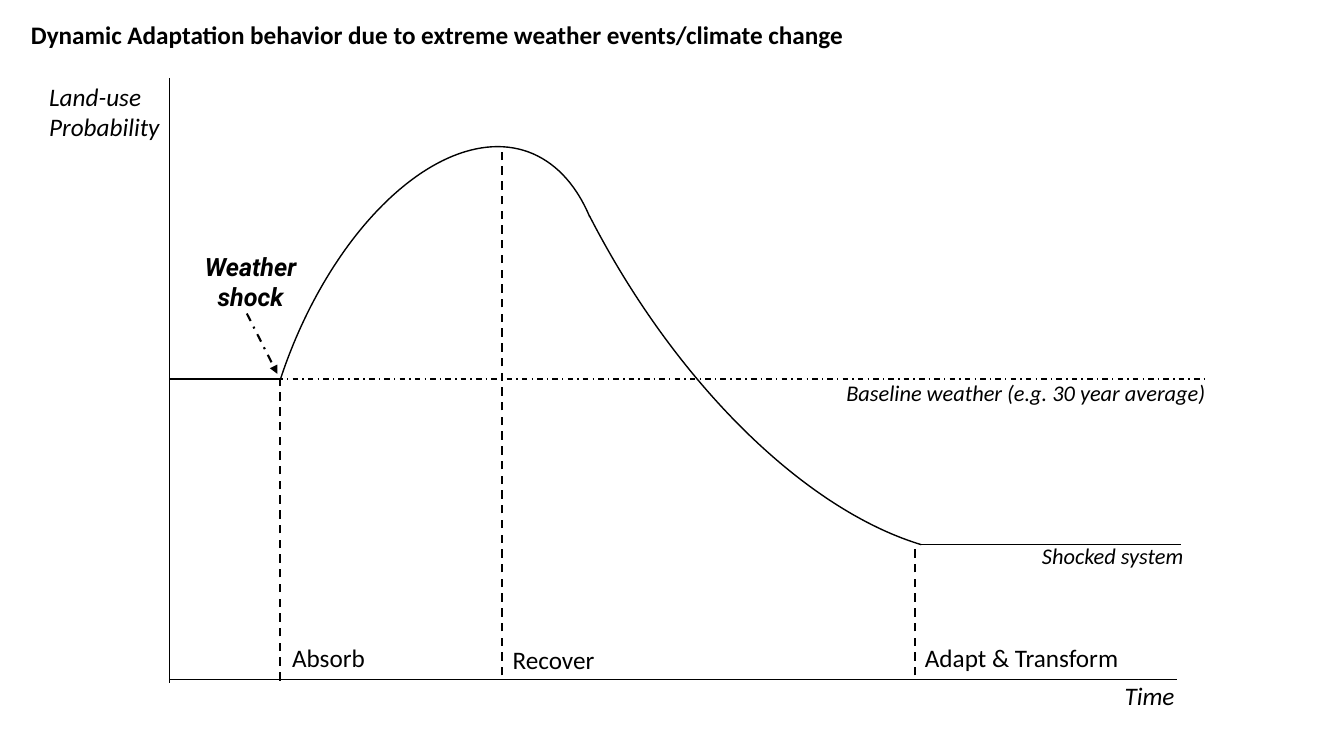
"""Build a slide charting adaptation behaviour after a weather shock."""
import pptx
import pptx.dml.color
import pptx.enum.dml
import pptx.enum.shapes
import pptx.enum.text
import pptx.oxml
import pptx.oxml.ns
import pptx.util

Cm = pptx.util.Cm
Pt = pptx.util.Pt
DASH = pptx.enum.dml.MSO_LINE.DASH
DASH_DOT = pptx.enum.dml.MSO_LINE.DASH_DOT
COLORS = {"ink": "000000", "background": "FFFFFF"}
INK = pptx.dml.color.RGBColor.from_string(COLORS["ink"])

AXIS_X = 4.27
AXIS_Y = 17.12
BASELINE_Y = 9.55
SHOCKED_Y = 13.72
SHOCK_X = 7.06
PEAK_X = 12.65
ADAPT_X = 23.06

presentation = pptx.Presentation()
presentation.slide_width = Cm(33.87)
presentation.slide_height = Cm(19.05)
slide = presentation.slides.add_slide(presentation.slide_layouts[6])
slide.background.fill.solid()
slide.background.fill.fore_color.rgb = pptx.dml.color.RGBColor.from_string(COLORS["background"])


def add_line(start, end, width=1, dash=None):
    """Draw a straight line between two points given in centimetres."""
    connector = slide.shapes.add_connector(
        pptx.enum.shapes.MSO_CONNECTOR.STRAIGHT,
        Cm(start[0]), Cm(start[1]), Cm(end[0]), Cm(end[1]))
    connector.line.color.rgb = INK
    connector.line.width = Pt(width)
    if dash is not None:
        connector.line.dash_style = dash
    pptx.oxml.ns.qn("a:effectLst")
    connector._element.spPr.append(
        pptx.oxml.parse_xml(f'<a:effectLst {pptx.oxml.ns.nsdecls("a")}/>'))
    return connector


def add_label(text, left, top, width, height, size=18, font="Calibri",
              bold=False, italic=False, wrap=True, centered=False):
    """Place a text label, with its box given in centimetres."""
    label = slide.shapes.add_textbox(Cm(left), Cm(top), Cm(width), Cm(height))
    text_frame = label.text_frame
    text_frame.word_wrap = wrap
    text_frame.auto_size = pptx.enum.text.MSO_AUTO_SIZE.SHAPE_TO_FIT_TEXT
    text_frame.text = text
    paragraph = text_frame.paragraphs[0]
    if centered:
        paragraph.alignment = pptx.enum.text.PP_ALIGN.CENTER
    run_font = paragraph.runs[0].font
    run_font.name = font
    run_font.size = Pt(size)
    run_font.bold = bold
    run_font.italic = italic
    run_font.color.rgb = INK


add_line((AXIS_X, BASELINE_Y), (SHOCK_X, BASELINE_Y))

response_arcs = [
    ((6.96, 3.4, 7.85, 14.25), 199.9, (104.289, 172.982), ("flipH", "flipV")),
    ((14.4, -9.02, 12.65, 24.05), 151.1, (104.172, 152.51), ("flipH",)),
]
for box, rotation, angles, flips in response_arcs:
    arc = slide.shapes.add_shape(
        pptx.enum.shapes.MSO_SHAPE.ARC, *[Cm(length) for length in box])
    arc.adjustments[0], arc.adjustments[1] = angles
    arc.rotation = rotation
    for flip in flips:
        arc._element.spPr.xfrm.set(flip, "1")
    arc.shadow.inherit = False
    arc.fill.background()
    arc.line.color.rgb = INK
    arc.line.width = Pt(1)

add_line((23.16, SHOCKED_Y), (29.77, SHOCKED_Y))
add_line((AXIS_X, 1.96), (AXIS_X, 17.2))
add_line((AXIS_X, AXIS_Y), (29.67, AXIS_Y))
add_line((6.99, BASELINE_Y), (30.35, BASELINE_Y), dash=DASH_DOT)

phases = [
    ("Absorb", SHOCK_X, 17.15, 9.53, 7.11, 16.05, 2.72),
    ("Recover", PEAK_X, 17.02, 3.81, 12.67, 16.1, 2.72),
    ("Adapt & Transform", ADAPT_X, 17.02, SHOCKED_Y, 23.06, 16.05, 5.66),
]
for name, x, bottom, top, label_left, label_top, label_width in phases:
    add_line((x, bottom), (x, top), 1.5, DASH)
    add_label(name, label_left, label_top, label_width, 1.02)

shock_arrow = add_line((6.22, 7.9), (6.99, 9.42), 1.5, DASH_DOT)
shock_arrow.line._get_or_add_ln().append(pptx.oxml.parse_xml(
    f'<a:tailEnd {pptx.oxml.ns.nsdecls("a")} type="triangle"/>'))

add_label("Time", 28.09, 17.02, 2.72, 1.02, italic=True)
add_label("Land-use Probability", 0.99, 1.93, 3.53, 1.8, italic=True)
add_label("Weather shock", 4.45, 6.2, 3.73, 1.8, font="Roboto",
          bold=True, italic=True, centered=True)
add_label("Baseline weather (e.g. 30 year average)", 21.08, 9.42, 9.6, 0.94,
          size=16, italic=True)
add_label("Shocked system", 26.01, 13.54, 7.6, 0.94, size=16, italic=True)
add_label("Dynamic Adaptation behavior due to extreme weather events/climate change",
          0.53, 0.36, 21.16, 1.02, bold=True, wrap=False)

presentation.save("out.pptx")
